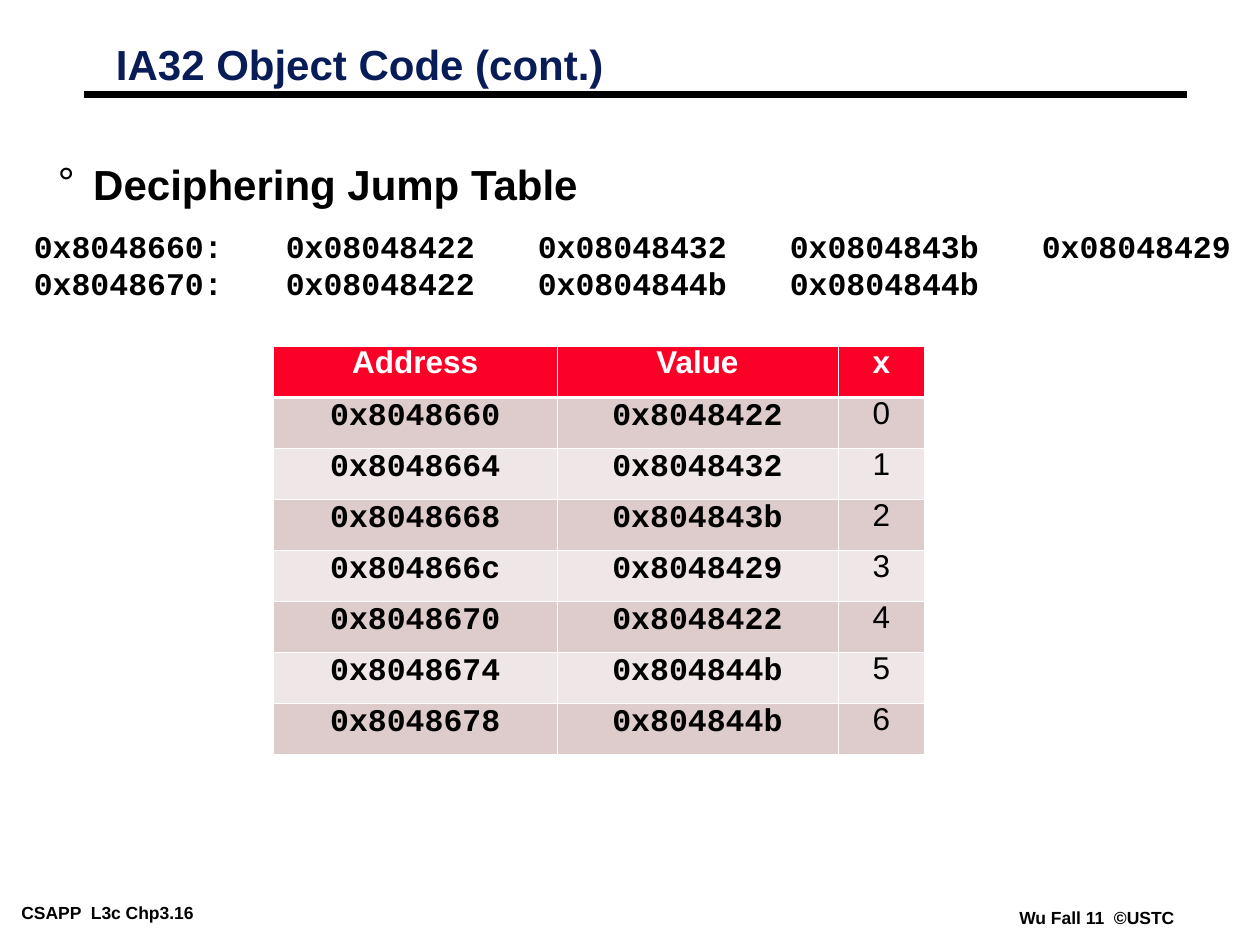
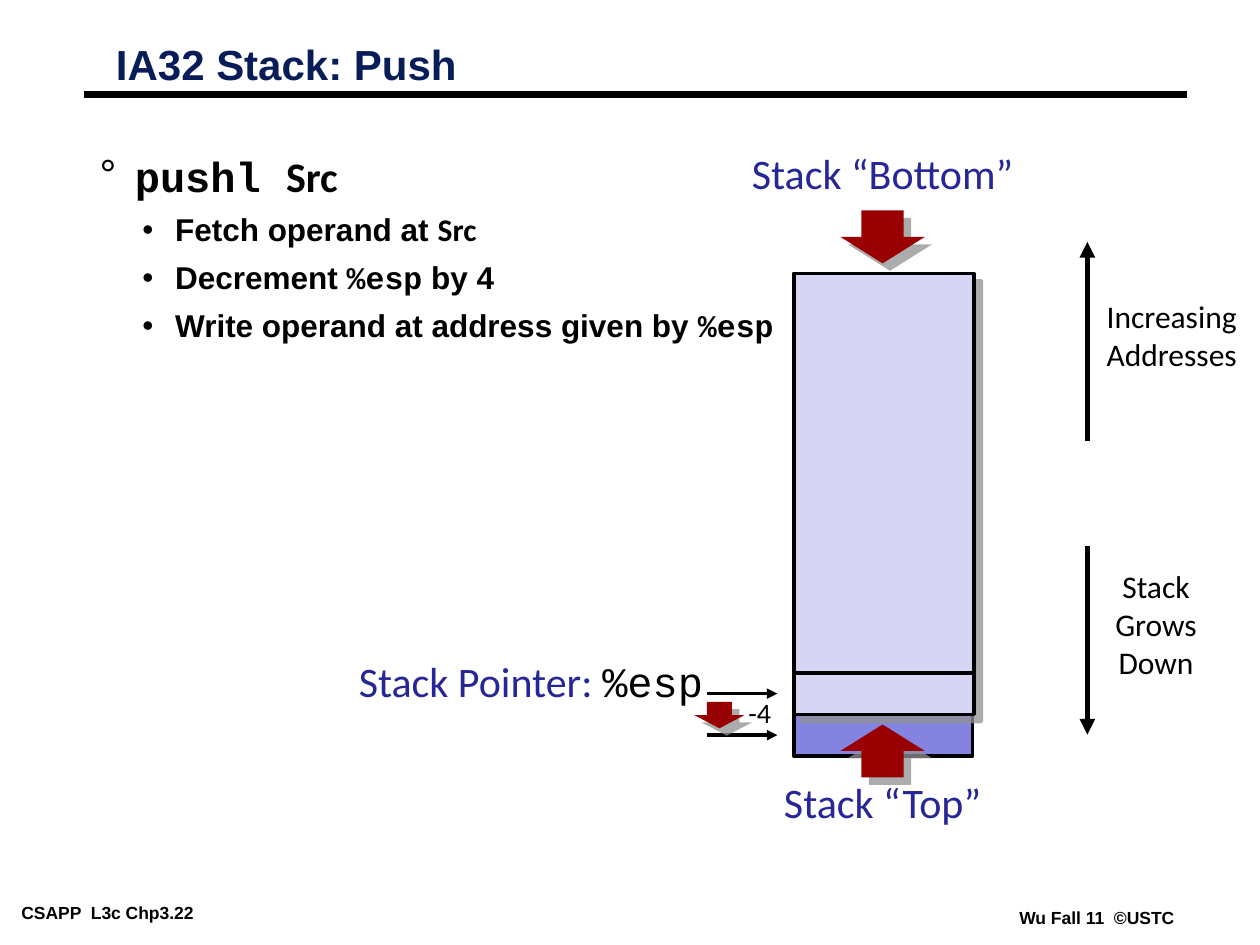
from dataclasses import dataclass

from lxml.etree import SubElement
from pptx import Presentation
from pptx.dml.color import RGBColor
from pptx.enum.shapes import MSO_CONNECTOR, MSO_SHAPE
from pptx.enum.text import MSO_ANCHOR, MSO_AUTO_SIZE, PP_ALIGN
from pptx.oxml import parse_xml
from pptx.oxml.ns import nsdecls, qn
from pptx.util import Emu, Inches, Pt


@dataclass(frozen=True)
class Theme:
    black: str = "000000"
    white: str = "FFFFFF"
    title: str = "081D58"
    label: str = "262699"
    header: str = "FC0128"
    bands: tuple = ("DECBCB", "EFE7E7")
    stack: str = "D6D6F4"
    pushed: str = "8484E0"
    block_arrow: str = "980002"
    shadow: str = "919191"
    sans: str = "Arial"
    mono: str = "Courier New"
    note: str = "Calibri"
    big: int = 24
    medium: int = 18
    small: int = 16
    tiny: int = 10


T = Theme()
LEVELS = (  # bullet, left margin, hanging indent, line spacing, space before
    ("°", 0.28, 0.28, 0.75, 19.5),
    ("•", 0.6, 0.26, 0.85, 9),
)


def rgb(color):
    return RGBColor.from_string(color)


def add_run(p, text, size, font=T.sans, color=T.black, bold=False):
    """Add a run, with the font also set for the scripts digits and signs may fall back to."""
    r = p.add_run()
    r.text = text
    r.font.size = Pt(size)
    r.font.name = font
    r.font.bold = bold
    r.font.color.rgb = rgb(color)
    rPr = r._r.get_or_add_rPr()
    rPr.set("lang", "en-US")
    for tag in ("a:ea", "a:cs"):
        SubElement(rPr, qn(tag), typeface=font)


def set_margins(tf, x, y):
    tf.margin_left = tf.margin_right = Inches(x)
    tf.margin_top = tf.margin_bottom = Inches(y)


def add_text(s, box, paragraphs, margins=(0, 0), align=PP_ALIGN.LEFT, wrap=False):
    """Add a text box; each paragraph is a list of add_run argument tuples."""
    tf = s.shapes.add_textbox(*map(Inches, box)).text_frame
    tf.word_wrap = wrap
    tf.auto_size = MSO_AUTO_SIZE.NONE if wrap else MSO_AUTO_SIZE.SHAPE_TO_FIT_TEXT
    set_margins(tf, *margins)
    for i, runs in enumerate(paragraphs):
        p = tf.paragraphs[0] if i == 0 else tf.add_paragraph()
        p.alignment = align
        for run in runs:
            add_run(p, *run)
    return tf


def add_line(s, start, end, width, arrow=False):
    c = s.shapes.add_connector(MSO_CONNECTOR.STRAIGHT, *map(Inches, start + end))
    c.line.color.rgb = rgb(T.black)
    c.line.width = Pt(width)
    spPr = c.element.spPr
    if arrow:
        SubElement(spPr.find(qn("a:ln")), qn("a:tailEnd"), type="triangle")
    SubElement(spPr, qn("a:effectLst"))


def add_block(s, kind, box, fill, outlined=True, shadow=True):
    sp = s.shapes.add_shape(kind, *map(Inches, box))
    sp.fill.solid()
    sp.fill.fore_color.rgb = rgb(fill)
    if outlined:
        sp.line.color.rgb = rgb(T.black)
        sp.line.width = Pt(2)
    else:
        sp.line.fill.background()
    sp.shadow.inherit = False
    if shadow:
        sp.element.spPr.find(qn("a:effectLst")).append(parse_xml(
            f'<a:outerShdw {nsdecls("a")} dist="{Pt(6)}" dir="2700000" algn="tl" rotWithShape="0">'
            f'<a:srgbClr val="{T.shadow}"><a:alpha val="75000"/></a:srgbClr></a:outerShdw>'))


def add_frame(prs, title, page):
    """Add a slide with its title, rule and two footers."""
    s = prs.slides.add_slide(prs.slide_layouts[5])
    sp = s.shapes.title
    sp.left, sp.top, sp.width, sp.height = map(Inches, (0.88, 0.32, 8.5, 0.43))
    tf = sp.text_frame
    tf.auto_size = MSO_AUTO_SIZE.NONE
    tf.vertical_anchor = MSO_ANCHOR.MIDDLE
    set_margins(tf, 0.04, 0.04)
    p = tf.paragraphs[0]
    p.alignment = PP_ALIGN.LEFT
    p.line_spacing = 0.87
    add_run(p, title, T.big, T.sans, T.title, True)

    add_line(s, (0.67, 0.75), (9.42, 0.75), 4.5)
    for box, text in (((0.1, 7.13, 2.02, 0.22), f"CSAPP  L3c Chp3.{page}"),
                      ((8.02, 7.17, 1.38, 0.22), "Wu Fall 11  ©USTC")):
        add_text(s, box, [[(text, T.tiny, T.sans, T.black, True)]], (0.07, 0.03))
    return s


def add_bullets(s, box, items):
    """Add bold bullets; items are (level, [(text, font), ...])."""
    sizes = (T.big, T.medium)
    paragraphs = [[(text, sizes[level], font, T.black, True) for text, font in runs]
                  for level, runs in items]
    tf = add_text(s, box, paragraphs, (0.04, 0.04), wrap=True)
    for i, (p, (level, _)) in enumerate(zip(tf.paragraphs, items)):
        bullet, margin, hang, spacing, before = LEVELS[level]
        pPr = p._p.get_or_add_pPr()
        pPr.set("marL", str(Inches(margin)))
        pPr.set("indent", str(-Inches(hang)))
        color = SubElement(pPr, qn("a:buClr"))
        SubElement(color, qn("a:srgbClr"), val=T.black)
        SubElement(pPr, qn("a:buFont"), typeface=T.sans)
        SubElement(pPr, qn("a:buChar"), char=bullet)
        p.line_spacing = spacing
        if i:
            p.space_before = Pt(before)


def add_memory_dump(s, box, rows):
    paragraphs = [[("\t".join(row), T.medium, T.mono, T.black, True)] for row in rows]
    tf = add_text(s, box, paragraphs, (0.1, 0.05))
    for p in tf.paragraphs:
        tabs = SubElement(p._p.get_or_add_pPr(), qn("a:tabLst"))
        for stop in range(2, 9, 2):
            SubElement(tabs, qn("a:tab"), pos=str(Inches(stop)), algn="l")


def format_cell(cell, text, fill, font, color, bold, edges):
    """Fill a cell; edges gives the top and bottom border widths in points."""
    cell.fill.solid()
    cell.fill.fore_color.rgb = rgb(fill)
    tcPr = cell._tc.get_or_add_tcPr()
    widths = {"lnL": 0.45, "lnR": 0.45, "lnT": edges[0], "lnB": edges[1]}
    for i, (tag, width) in enumerate(widths.items()):
        tcPr.insert(i, parse_xml(
            f'<a:{tag} {nsdecls("a")} w="{Pt(width)}"><a:solidFill>'
            f'<a:srgbClr val="{T.white}"/></a:solidFill></a:{tag}>'))
    p = cell.text_frame.paragraphs[0]
    p.alignment = PP_ALIGN.CENTER
    p.line_spacing = 0.75
    add_run(p, text, T.medium, font, color, bold)


def add_jump_table(s, box, header, rows):
    table = s.shapes.add_table(len(rows) + 1, len(header), *map(Inches, box)).table
    for column, width in zip(table.columns, (2.25, 2.23, 0.69)):
        column.width = Inches(width)
    for row in table.rows:
        row.height = Emu(Inches(box[3]) // (len(rows) + 1))
    for c, text in enumerate(header):
        format_cell(table.cell(0, c), text, T.header, T.sans, T.white, True, (0.45, 1.47))
    for r, row in enumerate(rows):
        edges = (1.47 if r == 0 else 0.45, 0.45)
        for c, text in enumerate(row):
            is_hex = c < 2
            format_cell(table.cell(r + 1, c), text, T.bands[r % 2],
                        T.mono if is_hex else T.sans, T.black, is_hex, edges)


def add_stack(s, box):
    """Draw the stack in its box, with the pushed word below and the pointers at its left."""
    left, top, width, height = box
    bottom = top + height
    word = 0.33
    middle = left + width / 2 - 0.01
    arrow_w, arrow_h = 0.67, 0.42
    arrow_left = middle - arrow_w / 2

    add_block(s, MSO_SHAPE.RECTANGLE, (left, bottom, width - 0.01, word), T.pushed, shadow=False)
    for y in (bottom - word / 2, bottom + word / 2):
        add_line(s, (left - 0.69, y), (left - 0.13, y), 2, True)
    add_text(s, (left - 0.52, bottom - 0.19, 0.5, 0.35), [[("-4", T.small, T.note)]],
             (0.04, 0.04), PP_ALIGN.CENTER)
    add_block(s, MSO_SHAPE.DOWN_ARROW, (left - 0.79, bottom - 0.1, 0.4, 0.21),
              T.block_arrow, outlined=False)

    add_block(s, MSO_SHAPE.RECTANGLE, box, T.stack)
    add_line(s, (left, bottom - word), (left + width - 0.01, bottom - word), 2)

    ends = ((MSO_SHAPE.DOWN_ARROW, top - 0.5, "Stack “Bottom”", top - 1, 2.33),
            (MSO_SHAPE.UP_ARROW, bottom + 0.08, "Stack “Top”", bottom + 0.49, 1.75))
    for kind, arrow_top, text, text_top, text_w in ends:
        add_block(s, kind, (arrow_left, arrow_top, arrow_w, arrow_h),
                  T.block_arrow, outlined=False)
        add_text(s, (middle - text_w / 2, text_top, text_w, 0.4),
                 [[(text, T.big, T.note, T.label)]], align=PP_ALIGN.CENTER)
    add_text(s, (left - 3.64, bottom - 0.47, 2.92, 0.4),
             [[("Stack Pointer: ", T.big, T.note, T.label), ("%esp", T.big, T.mono)]],
             align=PP_ALIGN.RIGHT)


def add_directions(s, box):
    """Draw the two address direction arrows with their labels to the right."""
    left, top, width, height = box
    bottom = top + height
    add_line(s, (left, top + 1.58), (left, top), 3, True)
    add_line(s, (left, bottom - 1.5), (left, bottom), 3, True)
    labels = (((left + 0.15, top + 0.44, width - 0.15, 0.6), ("Increasing", "Addresses"), False),
              ((left + 0.1, bottom - 1.33, 0.89, 1), ("Stack Grows", "Down"), True))
    for label_box, lines, wrap in labels:
        add_text(s, label_box, [[(line, T.medium, T.note)] for line in lines],
                 align=PP_ALIGN.CENTER, wrap=wrap)


def jump_table_slide(prs):
    s = add_frame(prs, "IA32 Object Code (cont.)", 16)
    add_bullets(s, (0.42, 1.31, 9.17, 0.53), [(0, [("Deciphering Jump Table", T.sans)])])
    add_memory_dump(s, (0.17, 1.75, 9.7, 0.7), (
        ("0x8048660:", "0x08048422", "0x08048432", "0x0804843b", "0x08048429"),
        ("0x8048670:", "0x08048422", "0x0804844b", "0x0804844b"),
    ))
    targets = ("0x8048422", "0x8048432", "0x804843b", "0x8048429",
               "0x8048422", "0x804844b", "0x804844b")
    rows = [(f"{0x8048660 + 4 * x:#x}", target, str(x)) for x, target in enumerate(targets)]
    add_jump_table(s, (2.17, 2.75, 5.17, 3.24), ("Address", "Value", "x"), rows)


def push_slide(prs):
    s = add_frame(prs, "IA32 Stack: Push", 22)
    add_bullets(s, (0.75, 1.25, 8.58, 2.42), [
        (0, [("pushl ", T.mono), ("Src", T.note)]),
        (1, [("Fetch operand at ", T.sans), ("Src", T.note)]),
        (1, [("Decrement ", T.sans), ("%esp", T.mono), (" by 4", T.sans)]),
        (1, [("Write operand at address given by ", T.sans), ("%esp", T.mono)]),
    ])
    add_stack(s, (6.3, 2.17, 1.43, 3.5))
    add_directions(s, (8.63, 1.92, 1.19, 3.91))


def main():
    prs = Presentation()
    prs.slide_width, prs.slide_height = Inches(10), Inches(7.5)
    jump_table_slide(prs)
    push_slide(prs)
    prs.save("out.pptx")


if __name__ == "__main__":
    main()
